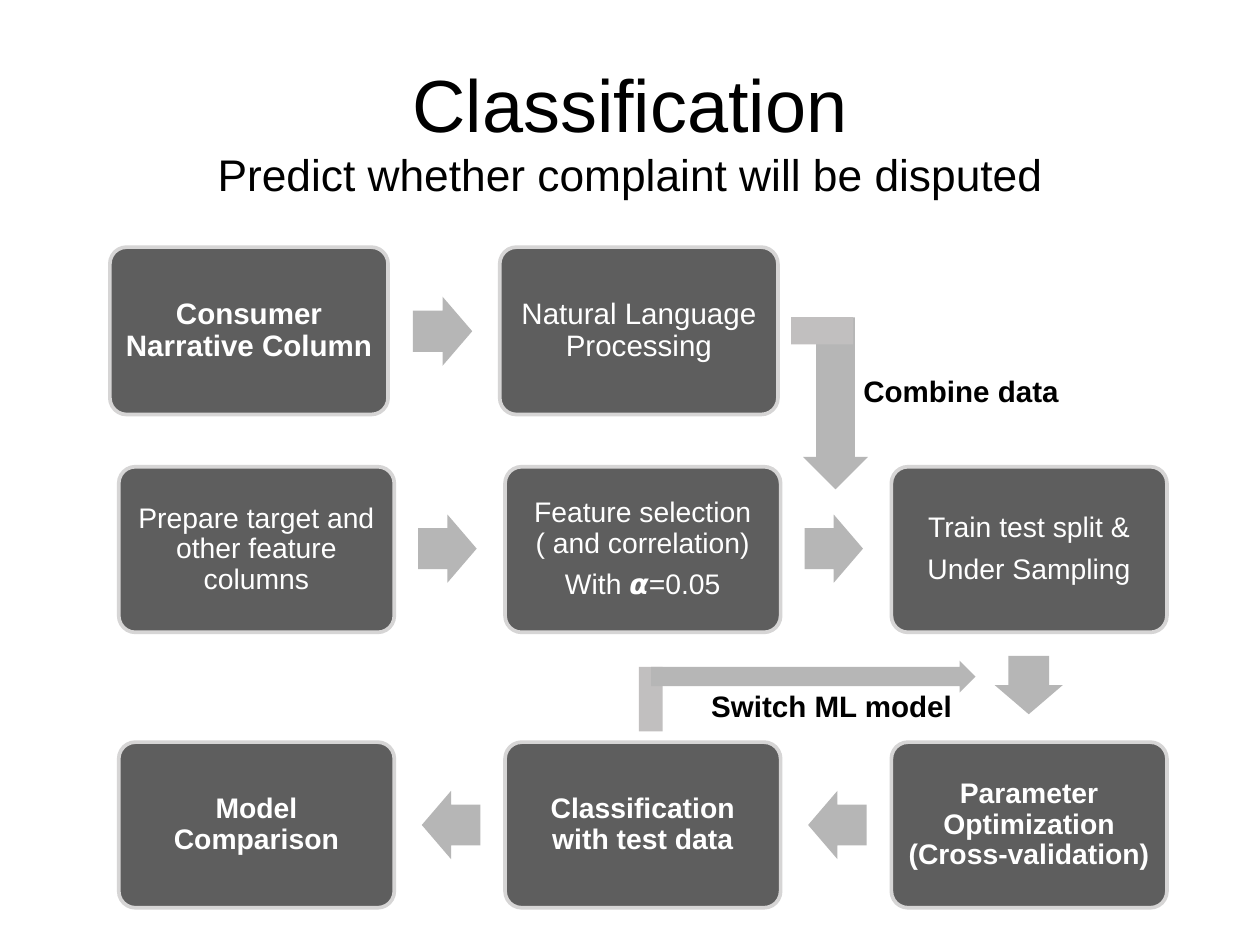
import pptx
import pptx.util
import pptx.dml.color
import pptx.enum.shapes
import pptx.enum.text

PX = 9144  # EMU in one px, 100 px to the inch
SHAPE = pptx.enum.shapes.MSO_SHAPE
FONT = "Arial"
BOX_FILL, BOX_LINE = "5E5E5E", "D6D5D5"
ARROW_FILL, BEND_FILL = "B6B6B6", "C1BFBF"
BLACK, WHITE = "000000", "FFFFFF"

# Main grid of steps, and the smaller steps of the top row
COLUMN_LEFT, COLUMN_STEP = 134, 436
MIDDLE_TOP, BOTTOM_TOP = 527, 838
TOP_LEFT, TOP_STEP, TOP_TOP = 124, 440, 279


def color(code):
    return pptx.dml.color.RGBColor.from_string(code)


def emu(*lengths):
    return [length * PX for length in lengths]


def write(frame, text, sizes, fill=BLACK, bold=False, inset=6, line=None, after=0):
    """Write one paragraph per line of text; sizes gives the points of each."""
    frame.word_wrap = True
    frame.auto_size = pptx.enum.text.MSO_AUTO_SIZE.NONE
    frame.vertical_anchor = pptx.enum.text.MSO_ANCHOR.MIDDLE
    frame.margin_left = frame.margin_right = inset * PX
    frame.margin_top = frame.margin_bottom = inset * PX
    for index, (words, size) in enumerate(zip(text.split("\n"), sizes)):
        para = frame.add_paragraph() if index else frame.paragraphs[0]
        para.alignment = pptx.enum.text.PP_ALIGN.CENTER
        para.line_spacing = line
        para.space_after = pptx.util.Pt(after)
        span = para.add_run()
        span.text = words
        span.font.name = FONT
        span.font.size = pptx.util.Pt(size)
        span.font.bold = bold
        span.font.color.rgb = color(fill)


def add_block(page, kind, bounds, fill):
    block = page.shapes.add_shape(kind, *emu(*bounds))
    block.shadow.inherit = False
    block.fill.solid()
    block.fill.fore_color.rgb = color(fill)
    block.line.fill.background()
    return block


def add_step(page, left, top, text, width=311, height=187, size=23, bold=False):
    box = add_block(page, SHAPE.ROUNDED_RECTANGLE, (left, top, width, height), BOX_FILL)
    box.adjustments[0] = 0.1
    box.line.color.rgb = color(BOX_LINE)
    box.line.width = pptx.util.Pt(3)
    write(box.text_frame, text, [size] * 2, fill=WHITE, bold=bold,
          inset=10, line=0.9, after=9)


def add_arrow(page, left, top, width=66, height=77, turn=0):
    arrow = add_block(page, SHAPE.RIGHT_ARROW, (left, top, width, height), ARROW_FILL)
    arrow.adjustments[0] = 0.6
    arrow.adjustments[1] = 0.5
    arrow.rotation = turn


def add_label(page, left, top, text):
    label = page.shapes.add_textbox(*emu(left, top, 355, 52))
    write(label.text_frame, text, [24], bold=True)


def add_title(page):
    title = page.shapes.title
    title.left, title.top, title.width, title.height = emu(104, 28, 1214, 236)
    write(title.text_frame,
          "Classification\nPredict whether complaint will be disputed", [60, 36])


def main():
    deck = pptx.Presentation()
    deck.slide_width, deck.slide_height = emu(1422, 1067)
    page = deck.slides.add_slide(deck.slide_layouts[5])
    add_title(page)

    # Middle and bottom rows of steps
    rows = [
        (MIDDLE_TOP, False, ["Prepare target and other feature columns",
                             "Feature selection ( and correlation)\nWith 𝞪=0.05",
                             "Train test split &\nUnder Sampling"]),
        (BOTTOM_TOP, True, ["Model Comparison",
                            "Classification with test data",
                            "Parameter Optimization (Cross-validation) "]),
    ]
    for top, bold, texts in rows:
        for column, text in enumerate(texts):
            add_step(page, COLUMN_LEFT + column * COLUMN_STEP, top, text, bold=bold)

    # Arrows: right along the middle row, down, then left along the bottom row
    for gap in range(2):
        add_arrow(page, 472 + gap * COLUMN_STEP, 581)
        add_arrow(page, 476 + gap * COLUMN_STEP, 893, turn=180)
    add_arrow(page, 1128, 735, turn=90)

    # Loop back to try another model
    add_block(page, SHAPE.RECTANGLE, (721, 753, 27, 73), BEND_FILL)
    add_arrow(page, 735, 746, width=366, height=36)
    add_label(page, 761, 771, "Switch ML model")

    # Top row of steps
    for column, (text, bold) in enumerate([("Consumer Narrative Column", True),
                                           ("Natural Language Processing", False)]):
        add_step(page, TOP_LEFT + column * TOP_STEP, TOP_TOP, text,
                 width=314, height=189, size=24, bold=bold)
    add_arrow(page, 466, 335, width=67, height=78)

    # Bend that joins the top row to the middle row
    add_arrow(page, 846, 419, width=194, height=73, turn=90)
    add_block(page, SHAPE.RECTANGLE, (893, 358, 70, 31), BEND_FILL)
    add_label(page, 907, 415, "Combine data")

    deck.save("out.pptx")


if __name__ == "__main__":
    main()
